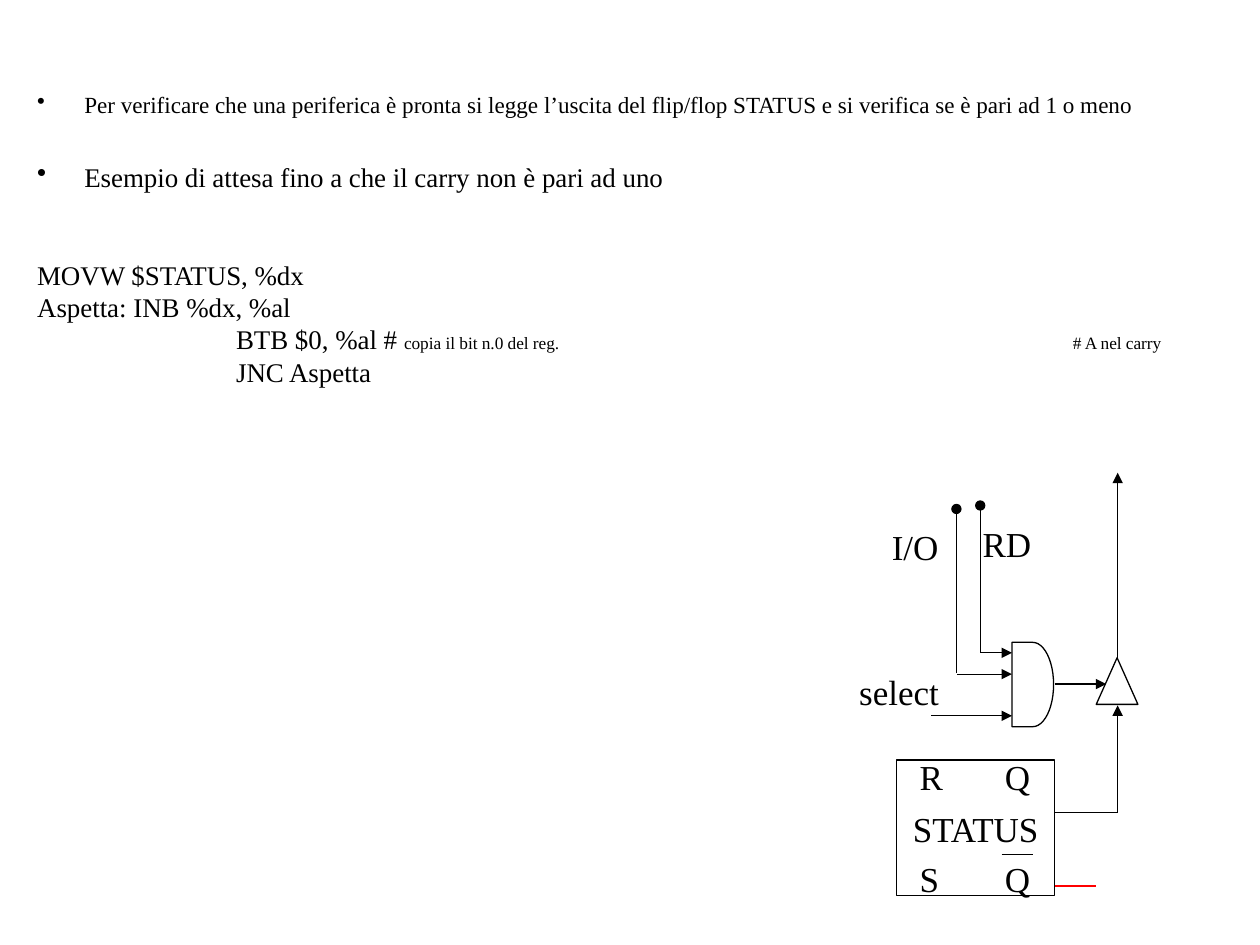
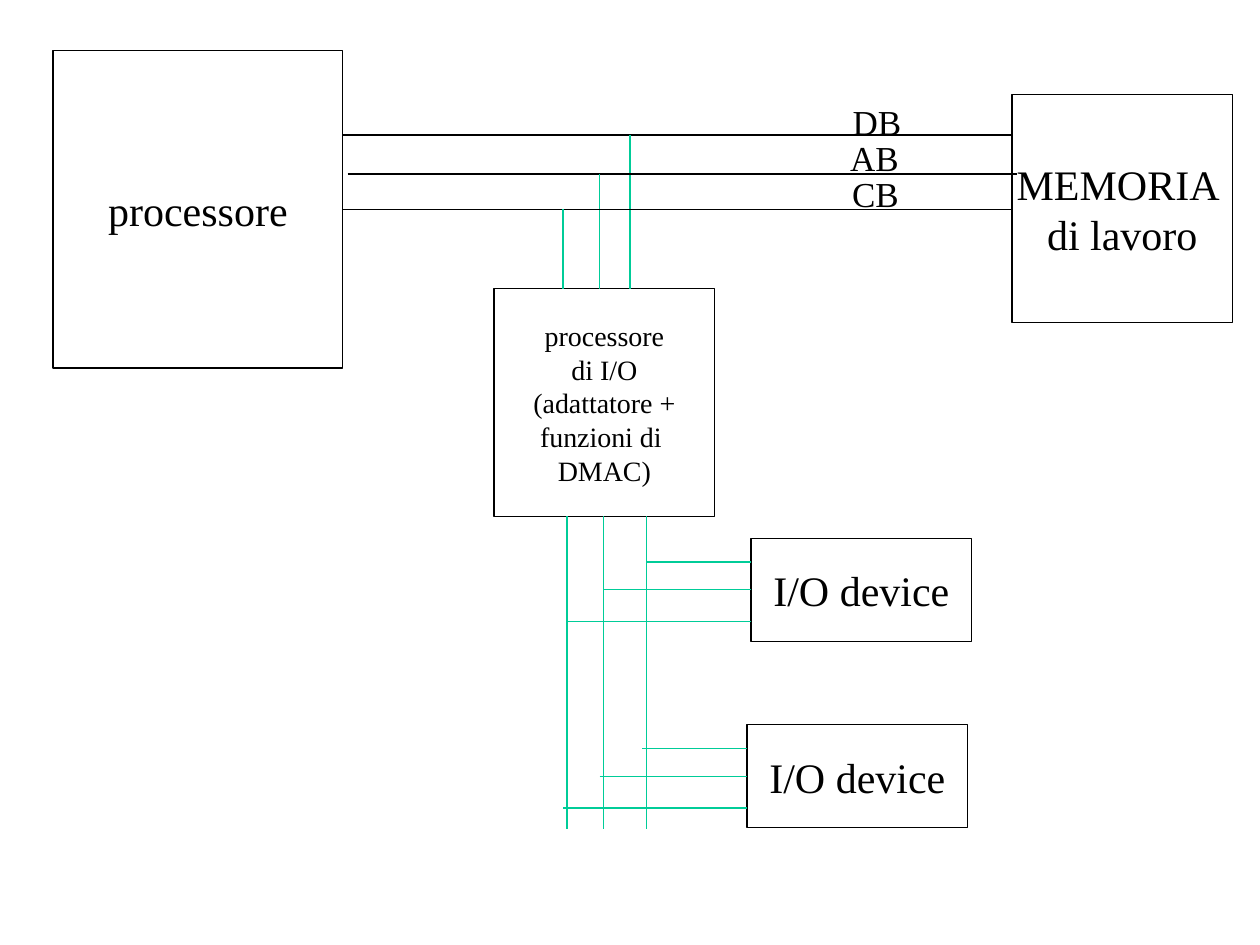
from dataclasses import dataclass

from lxml.etree import SubElement
from pptx import Presentation
from pptx.dml.color import RGBColor
from pptx.enum.shapes import MSO_CONNECTOR, MSO_SHAPE
from pptx.enum.text import MSO_ANCHOR, PP_ALIGN
from pptx.oxml.ns import qn
from pptx.util import Cm, Pt


@dataclass(frozen=True)
class Theme:
    font: str = "Times New Roman"
    ink: RGBColor = RGBColor(0x00, 0x00, 0x00)
    io_bus: RGBColor = RGBColor(0x00, 0xCC, 0x98)
    unused: RGBColor = RGBColor(0xFF, 0x00, 0x00)
    line: float = 0.75
    box_size: float = 24
    label_size: float = 20
    small_box_size: float = 16
    body_size: float = 15.4
    intro_size: float = 13.2
    note_size: float = 9.9
    code_line: float = 18.5


THEME = Theme()


def add_run(paragraph, text, size=THEME.label_size, color=THEME.ink):
    run = paragraph.add_run()
    run.text = text
    run.font.name = THEME.font
    run.font.size = Pt(size)
    run.font.color.rgb = color


def set_tabs(paragraph, positions):
    tab_list = SubElement(paragraph._p.get_or_add_pPr(), qn("a:tabLst"))
    for position in positions:
        SubElement(tab_list, qn("a:tab"), pos=str(Cm(position)), algn="l")


def set_bullet(paragraph, indent):
    properties = paragraph._p.get_or_add_pPr()
    properties.set("marL", str(Cm(indent)))
    properties.set("indent", str(-Cm(indent)))
    SubElement(properties, qn("a:buChar"), char="•")


def write(frame, lines, size=THEME.label_size, align=PP_ALIGN.CENTER,
          anchor=MSO_ANCHOR.TOP, wrap=False, tabs=()):
    """Fill a text frame with one paragraph per line."""
    frame.word_wrap = wrap
    frame.vertical_anchor = anchor
    for index, line in enumerate(lines):
        paragraph = frame.paragraphs[0] if index == 0 else frame.add_paragraph()
        paragraph.alignment = align
        if tabs:
            set_tabs(paragraph, tabs)
        add_run(paragraph, line, size)


def add_label(slide, text, left, top, width=1.88, **text_format):
    box = slide.shapes.add_textbox(Cm(left), Cm(top), Cm(width), Cm(1.12))
    write(box.text_frame, [text], **text_format)


def add_outline(slide, kind, left, top, width, height, *lines,
                size=THEME.box_size):
    """Add an unfilled shape, with centred text if lines are given."""
    shape = slide.shapes.add_shape(kind, Cm(left), Cm(top), Cm(width), Cm(height))
    shape.shadow.inherit = False
    shape.fill.background()
    shape.line.color.rgb = THEME.ink
    shape.line.width = Pt(THEME.line)
    if lines:
        write(shape.text_frame, lines, size=size, anchor=MSO_ANCHOR.MIDDLE)


def add_wire(slide, x1, y1, x2, y2, color=THEME.ink, end=None):
    wire = slide.shapes.add_connector(
        MSO_CONNECTOR.STRAIGHT, Cm(x1), Cm(y1), Cm(x2), Cm(y2))
    wire.line.color.rgb = color
    wire.line.width = Pt(THEME.line)
    if end:
        SubElement(wire.line._get_or_add_ln(), qn("a:tailEnd"), type=end)
    SubElement(wire._element.spPr, qn("a:effectLst"))


def add_polling_text(slide):
    intro, body, note = THEME.intro_size, THEME.body_size, THEME.note_size
    # Each row: runs, space before, bulleted
    rows = [
        ([("Per verificare che una periferica è pronta si legge l’uscita del "
           "flip/flop STATUS e si verifica se è pari ad 1 o meno", intro)],
         0, True),
        ([("Esempio di attesa fino a che il carry non è pari ad uno", body)],
         24, True),
        ([("MOVW $STATUS, %dx", body)], 37.5, False),
        ([("Aspetta: INB %dx, %al", body)], 0, False),
        ([("\tBTB $0, %al # ", body),
          ("copia il bit n.0 del reg.\t# A nel carry", note)], 0, False),
        ([("\tJNC Aspetta", body)], 0, False),
    ]
    box = slide.shapes.add_textbox(Cm(0.5), Cm(1.7), Cm(23.22), Cm(7.39))
    frame = box.text_frame
    frame.word_wrap = True
    for index, (runs, before, bulleted) in enumerate(rows):
        paragraph = frame.paragraphs[0] if index == 0 else frame.add_paragraph()
        paragraph.space_before = Pt(before)
        if bulleted:
            set_bullet(paragraph, 0.95)
        else:
            paragraph.line_spacing = Pt(THEME.code_line)
            set_tabs(paragraph, (4.01, 20.88))
        for text, size in runs:
            add_run(paragraph, text, size)


def add_status_flip_flop(slide):
    left, right = 18.08, 21.26
    add_outline(slide, MSO_SHAPE.RECTANGLE, left, 15.32, right - left, 2.74)
    for pins, top in (("R\tQ", 15.11), ("S\tQ", 17.17)):
        add_label(slide, pins, 18.29, top, 2.74, align=PP_ALIGN.LEFT,
                  wrap=True, tabs=(1.72,))
    add_label(slide, "STATUS", left, 16.15, right - left)
    add_wire(slide, 20.19, 17.22, 20.83, 17.22)
    add_wire(slide, right, 17.86, 22.1, 17.86, color=THEME.unused)


def add_read_logic(slide):
    gate_left, gate_right, output_x = 20.4, 21.26, 22.53
    add_outline(slide, MSO_SHAPE.FLOWCHART_DELAY, gate_left, 12.95, 0.84, 1.7)
    add_outline(slide, MSO_SHAPE.ISOSCELES_TRIANGLE, 22.1, 13.26, 0.84, 0.94)

    for x, bottom, top in ((19.76, 13.16, 10.19), (19.28, 13.56, 10.26)):
        add_wire(slide, x, bottom, x, top, end="oval")
    for x, y in ((19.76, 13.16), (19.3, 13.59), (18.77, 14.43)):
        add_wire(slide, x, y, gate_left, y, end="triangle")
    add_wire(slide, gate_right, 13.79, 22.3, 13.79, end="triangle")

    add_wire(slide, gate_right, 16.38, output_x, 16.38)
    for start, stop in ((16.38, 14.22), (13.26, 9.53)):
        add_wire(slide, output_x, start, output_x, stop, end="triangle")

    add_label(slide, "RD", 19.36, 10.41)
    add_label(slide, "I/O", 17.51, 10.46)
    add_label(slide, "select", 16.97, 13.39, 2.31)


def add_io_processor_diagram(slide):
    block_width, block_height = 4.45, 4.6
    io_top, io_bottom = 5.82, 10.41
    bus_ys = (2.72, 3.51, 4.22)
    drop_xs = (13.03, 12.17, 11.43)
    device_height = 2.08
    box = MSO_SHAPE.RECTANGLE

    add_outline(slide, box, 1.07, 1.02, 5.84, 6.4, "processore")
    add_outline(slide, box, 20.4, 1.91, block_width, block_height,
                "MEMORIA ", "di lavoro")
    add_outline(slide, box, 9.96, io_top, block_width, block_height,
                "processore", "di I/O", "(adattatore +", "funzioni di ", "DMAC)",
                size=THEME.small_box_size)

    for y, shift, tap_x in zip(bus_ys, (0, 0.1, 0), (12.7, 12.09, 11.35)):
        add_wire(slide, 6.91 + shift, y, 20.4 + shift, y)
        add_wire(slide, tap_x, y, tap_x, io_top, color=THEME.io_bus)
    for name, left, top in (("DB", 16.74, 1.91), ("AB", 16.69, 2.62),
                            ("CB", 16.71, 3.35)):
        add_label(slide, name, left, top)

    for x in drop_xs:
        add_wire(slide, x, io_bottom, x, 16.71, color=THEME.io_bus)
    for left, top, shift in ((15.14, 10.85, 0), (15.06, 14.61, -0.08)):
        add_outline(slide, box, left, top, block_width, device_height,
                    "I/O device")
        for x, offset in zip(drop_xs, (0.48, 1.04, 1.68)):
            add_wire(slide, x + shift, top + offset, left, top + offset,
                     color=THEME.io_bus)


def main():
    presentation = Presentation()
    presentation.slide_width = Cm(25.4)
    presentation.slide_height = Cm(19.05)
    blank = presentation.slide_layouts[6]

    polling = presentation.slides.add_slide(blank)
    add_polling_text(polling)
    add_status_flip_flop(polling)
    add_read_logic(polling)

    add_io_processor_diagram(presentation.slides.add_slide(blank))
    presentation.save("out.pptx")


if __name__ == "__main__":
    main()
